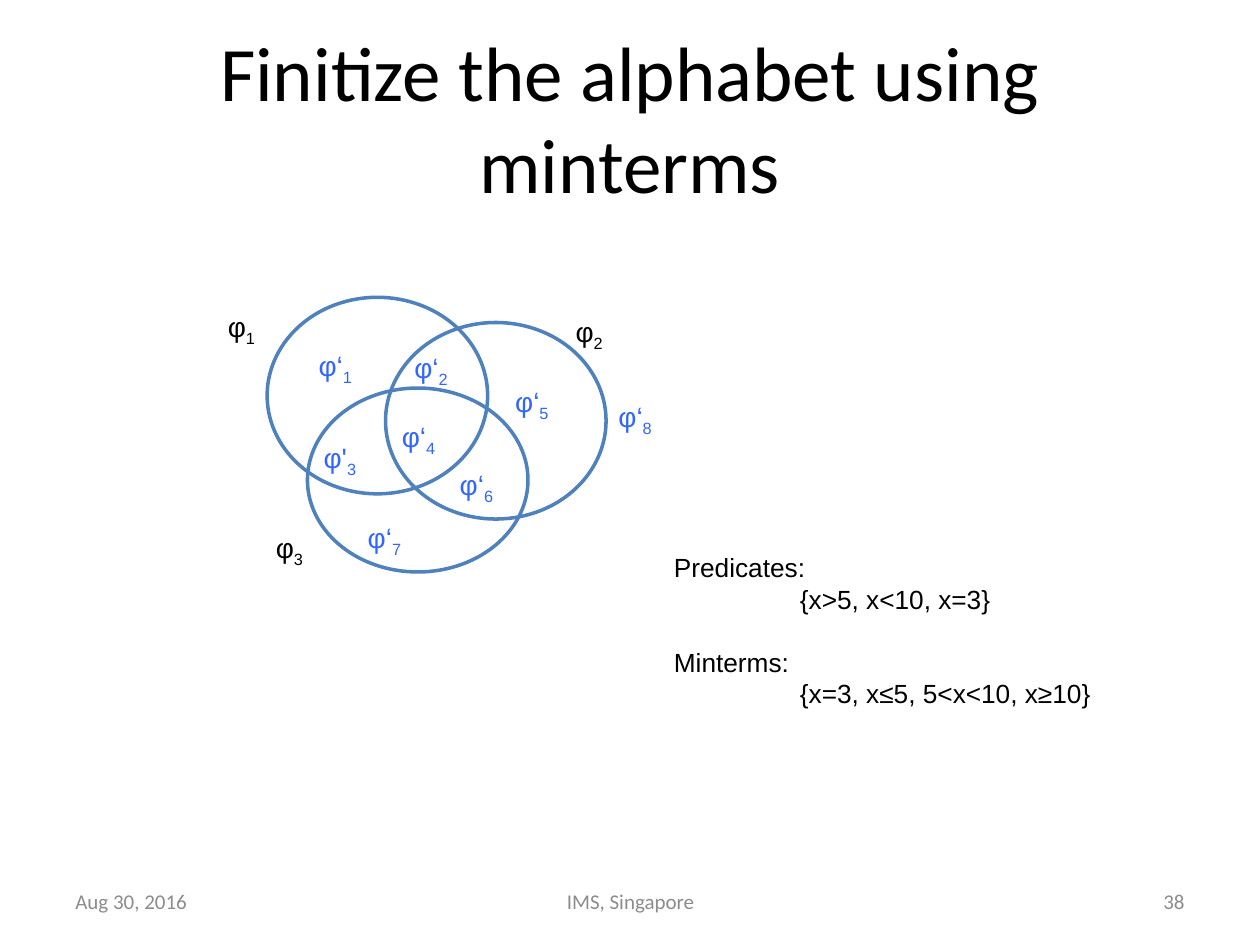
from pptx import Presentation
from pptx.dml.color import RGBColor
from pptx.enum.shapes import MSO_SHAPE
from pptx.enum.text import MSO_ANCHOR, PP_ALIGN
from pptx.util import Inches, Pt

BLACK = RGBColor(0x00, 0x00, 0x00)
GRAY = RGBColor(0x8C, 0x8C, 0x8C)
OUTLINE_BLUE = RGBColor(0x4F, 0x81, 0xBD)
MINTERM_BLUE = RGBColor(0x33, 0x66, 0xFF)

# Positions are inches relative to the diagram's left top corner.
CIRCLES = [(1.35, 0.2, 1.56), (0.41, 0, 1.56), (0.73, 0.72, 1.46)]
PREDICATES = [("φ", "1", 0, 0.05), ("φ", "2", 2.76, 0.09), ("φ", "3", 0.38, 1.8)]
MINTERMS = [
    ("φ‘", "1", 0.72, 0.36),
    ("φ‘", "2", 1.48, 0.37),
    ("φ'", "3", 0.76, 1.09),
    ("φ‘", "4", 1.38, 0.92),
    ("φ‘", "5", 2.28, 0.64),
    ("φ‘", "6", 1.84, 1.3),
    ("φ‘", "7", 1.11, 1.72),
    ("φ‘", "8", 3.1, 0.76),
]
EXAMPLES = [
    ("Predicates:", "{x>5, x<10, x=3}"),
    ("Minterms:", "{x=3, x≤5, 5<x<10, x≥10}"),
]


def write(paragraph, text, size=16, font="Arial", color=BLACK,
          align=PP_ALIGN.LEFT, subscript=False):
    """Append a formatted run to the paragraph."""
    paragraph.alignment = align
    run = paragraph.add_run()
    run.text = text
    run.font.size = Pt(size)
    run.font.name = font
    run.font.color.rgb = color
    if subscript:
        run._r.get_or_add_rPr().set("baseline", "-25000")


def add_text_frame(slide, left, top, width, height, anchor=MSO_ANCHOR.TOP):
    box = slide.shapes.add_textbox(Inches(left), Inches(top), Inches(width), Inches(height))
    frame = box.text_frame
    frame.word_wrap = True
    frame.vertical_anchor = anchor
    return frame


def place_title(slide, left, top, width, height):
    title = slide.shapes.title
    title.left, title.top = Inches(left), Inches(top)
    title.width, title.height = Inches(width), Inches(height)
    title.text_frame.vertical_anchor = MSO_ANCHOR.MIDDLE
    write(title.text_frame.paragraphs[0], "Finitize the alphabet using minterms",
          size=44, font="Calibri", align=PP_ALIGN.CENTER)


def add_venn_diagram(slide, left, top):
    for x, y, height in CIRCLES:
        circle = slide.shapes.add_shape(
            MSO_SHAPE.OVAL, Inches(left + x), Inches(top + y), Inches(1.75), Inches(height))
        circle.shadow.inherit = False
        circle.fill.background()
        circle.line.color.rgb = OUTLINE_BLUE
        circle.line.width = Pt(2)
    for labels, color in ((PREDICATES, BLACK), (MINTERMS, MINTERM_BLUE)):
        for symbol, index, x, y in labels:
            paragraph = add_text_frame(slide, left + x, top + y, 0.69, 0.37).paragraphs[0]
            write(paragraph, symbol, color=color)
            write(paragraph, index, color=color, subscript=True)


def add_examples(slide, left, top, width, height):
    frame = add_text_frame(slide, left, top, width, height)
    for number, (heading, formulas) in enumerate(EXAMPLES):
        heading_paragraph = frame.add_paragraph() if number else frame.paragraphs[0]
        if number:
            heading_paragraph.space_before = Pt(18)
        formula_paragraph = frame.add_paragraph()
        formula_paragraph._p.get_or_add_pPr().set("marL", str(Inches(1)))
        for paragraph, text in ((heading_paragraph, heading), (formula_paragraph, formulas)):
            paragraph.line_spacing = Pt(18)
            write(paragraph, text, size=15)


def add_footer(slide, top, height):
    for text, left, width, align in (
        ("Aug 30, 2016", 0.5, 2.33, PP_ALIGN.LEFT),
        ("IMS, Singapore", 3.42, 3.17, PP_ALIGN.CENTER),
        ("38", 7.17, 2.33, PP_ALIGN.RIGHT),
    ):
        frame = add_text_frame(slide, left, top, width, height, anchor=MSO_ANCHOR.MIDDLE)
        write(frame.paragraphs[0], text, size=12, font="Calibri", color=GRAY, align=align)


def main():
    presentation = Presentation()
    presentation.slide_width, presentation.slide_height = Inches(10), Inches(7.5)
    slide = presentation.slides.add_slide(presentation.slide_layouts[5])
    place_title(slide, 0.5, 0.3, 9, 1.25)
    add_venn_diagram(slide, 1.71, 2.36)
    add_examples(slide, 5.25, 4.33, 4.11, 1.54)
    add_footer(slide, 6.95, 0.4)
    presentation.save("out.pptx")


if __name__ == "__main__":
    main()
